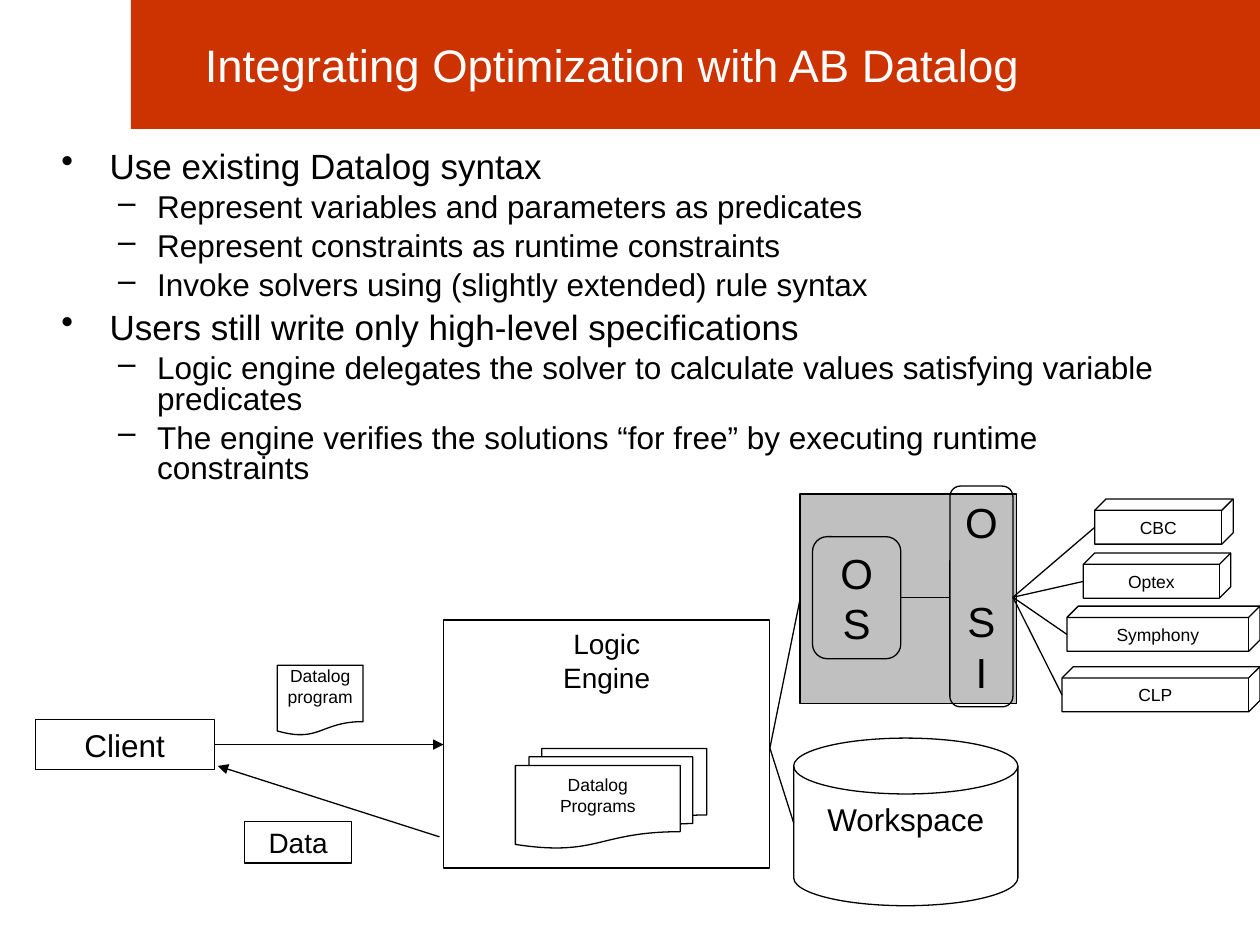
from lxml import etree
from pptx import Presentation
from pptx.dml.color import RGBColor
from pptx.enum.shapes import MSO_CONNECTOR, MSO_SHAPE
from pptx.enum.text import MSO_ANCHOR, PP_ALIGN
from pptx.oxml.ns import qn
from pptx.util import Cm, Pt

RECT, ROUNDED, CUBE = MSO_SHAPE.RECTANGLE, MSO_SHAPE.ROUNDED_RECTANGLE, MSO_SHAPE.CUBE
DOCUMENT, DOCUMENTS = MSO_SHAPE.FLOWCHART_DOCUMENT, MSO_SHAPE.FLOWCHART_MULTIDOCUMENT
PROCESS, DISK = MSO_SHAPE.FLOWCHART_PROCESS, MSO_SHAPE.FLOWCHART_MAGNETIC_DISK
STRAIGHT = MSO_CONNECTOR.STRAIGHT
TOP, MIDDLE = MSO_ANCHOR.TOP, MSO_ANCHOR.MIDDLE
CENTER = PP_ALIGN.CENTER

FONT = "Arial"
BLACK, WHITE, RED, GRAY = "000000", "FFFFFF", "CC3300", "C0C0C0"
LINE_WIDTH = Pt(0.75)

BULLETS = [
    (0, "Use existing Datalog syntax"),
    (1, "Represent variables and parameters as predicates"),
    (1, "Represent constraints as runtime constraints"),
    (1, "Invoke solvers using (slightly extended) rule syntax"),
    (0, "Users still write only high-level specifications"),
    (1, "Logic engine delegates the solver to calculate values satisfying variable predicates"),
    (1, "The engine verifies the solutions “for free” by executing runtime constraints"),
]
# Per level: bullet, size, space before, left indent and hanging indent in cm
LEVELS = [("•", 20, 6, 1.07, -0.97), ("–", 18, 5, 2.03, -0.79)]
# Name, left, top and width in cm from the point where the links fan out
SOLVERS = [
    ("CBC", 1.65, -1.98, 2.79),
    ("Optex", 1.42, -0.89, 2.97),
    ("Symphony", 1.09, 0.18, 3.89),
    ("CLP", 0.99, 1.4, 3.99),
]


def rgb(color):
    return RGBColor.from_string(color)


def format_runs(p, size, color=BLACK):
    for r in p.runs:
        r.font.name = FONT
        r.font.size = Pt(size)
        r.font.color.rgb = rgb(color)


def add_box(s, kind, box, text="", size=10, fill=None, anchor=MIDDLE, inset=0.13, line=BLACK):
    """Add a shape with centred text; box is left, top, width, height in cm."""
    sp = s.shapes.add_shape(kind, *map(Cm, box))
    sp.shadow.inherit = False
    if fill:
        sp.fill.solid()
        sp.fill.fore_color.rgb = rgb(fill)
    else:
        sp.fill.background()
    if line:
        sp.line.color.rgb = rgb(line)
        sp.line.width = LINE_WIDTH
    else:
        sp.line.fill.background()
    if text:
        tf = sp.text_frame
        tf.text = text
        tf.word_wrap = True
        tf.vertical_anchor = anchor
        tf.margin_left = tf.margin_right = 0
        tf.margin_top = tf.margin_bottom = Cm(inset)
        for p in tf.paragraphs:
            p.alignment = CENTER
            format_runs(p, size)
    return sp


def add_link(s, start, end, arrow=False):
    c = s.shapes.add_connector(STRAIGHT, *map(Cm, start + end))
    c.line.color.rgb = rgb(BLACK)
    c.line.width = LINE_WIDTH
    if arrow:
        etree.SubElement(c.line._get_or_add_ln(), qn("a:tailEnd"), type="triangle")
    etree.SubElement(c._element.spPr, qn("a:effectLst"))


def add_header(s, left, top, width, height):
    add_box(s, RECT, (left, top, width, height), fill=RED, line=None)
    title = s.shapes.add_textbox(Cm(left + 1.24), Cm(top + 0.13), Cm(20.3), Cm(height - 0.26))
    tf = title.text_frame
    tf.word_wrap = True
    tf.vertical_anchor = MIDDLE
    tf.text = "Integrating Optimization with AB Datalog"
    format_runs(tf.paragraphs[0], 26, WHITE)


def add_bullets(s, left, top, width, height):
    tf = s.shapes.add_textbox(Cm(left), Cm(top), Cm(width), Cm(height)).text_frame
    tf.word_wrap = True
    tf.margin_left = tf.margin_top = tf.margin_bottom = Cm(0.15)
    tf.text = "\n".join(text for _, text in BULLETS)
    for p, (level, _) in zip(tf.paragraphs, BULLETS):
        char, size, before, margin, indent = LEVELS[level]
        p.level = level
        p.line_spacing = 0.8
        p.space_before = Pt(before)
        format_runs(p, size)
        pPr = p._p.get_or_add_pPr()
        pPr.set("marL", str(Cm(margin)))
        pPr.set("indent", str(Cm(indent)))
        etree.SubElement(pPr, qn("a:buChar"), char=char)


def add_client(s, left, top, width, height):
    """Add the client with the program it sends and the data it receives."""
    right, middle = left + width, top + height / 2
    add_box(s, PROCESS, (left, top, width, height), "Client", 18)
    add_box(s, DOCUMENT, (left + 4.88, top - 1.09, 1.73, 1.42),
            "Datalog\nprogram", anchor=TOP, inset=0)
    add_box(s, RECT, (left + 4.22, top + 2.06, 2.16, 0.84), "Data", 16)
    add_link(s, (right, middle), (right + 4.62, middle), arrow=True)
    add_link(s, (right + 4.54, top + 2.37), (right + 0.07, top + 0.94), arrow=True)


def add_engine(s, left, top, width, height):
    """Add the logic engine with its links to the optimizer and the workspace."""
    right, middle = left + width, top + height / 2
    add_box(s, RECT, (left, top, width, height), "Logic\nEngine", 16, anchor=TOP)
    add_box(s, DOCUMENTS, (left + 1.45, top + 2.59, 3.86, 2.01),
            "Datalog\nPrograms", anchor=TOP, inset=0.18)
    for dx, dy in ((0.61, -2.93), (0.48, 1.59)):
        add_link(s, (right, middle + 0.08), (right + dx, middle + dy))


def add_optimizer(s, left, top, width, height):
    add_box(s, RECT, (left, top, width, height), fill=GRAY)
    add_box(s, ROUNDED, (left + 0.25, top + 0.86, 1.78, 2.46), "O\nS", 24)
    osi = add_box(s, ROUNDED, (left + 3.02, top - 0.16, 1.27, 4.45), "O\nS\nI", 24)
    osi.text_frame.paragraphs[1].space_before = Pt(28)
    middle = top + 2.08
    add_link(s, (left + 2.03, middle), (left + 3.02, middle))


def add_solvers(s, left, middle):
    """Fan links out from one point to the solver cubes."""
    for name, dx, dy, width in SOLVERS:
        x, y = left + dx, middle + dy
        add_box(s, CUBE, (x, y, width, 0.91), name, inset=0)
        add_link(s, (left, middle), (x, y + 0.57))


def main():
    prs = Presentation()
    prs.slide_width, prs.slide_height = Cm(25.4), Cm(19.05)
    s = prs.slides.add_slide(prs.slide_layouts[6])
    add_header(s, 2.64, 0, 22.76, 2.6)
    add_bullets(s, 0.99, 2.92, 22.86, 7.49)
    add_optimizer(s, 16.13, 9.96, 4.37, 4.22)
    add_solvers(s, 20.42, 12.04)
    add_box(s, DISK, (16, 14.88, 4.52, 3.38), "Workspace", 18, anchor=TOP)
    add_engine(s, 8.94, 12.5, 6.58, 5)
    add_client(s, 0.71, 14.5, 3.61, 1.02)
    prs.save("out.pptx")


if __name__ == "__main__":
    main()
